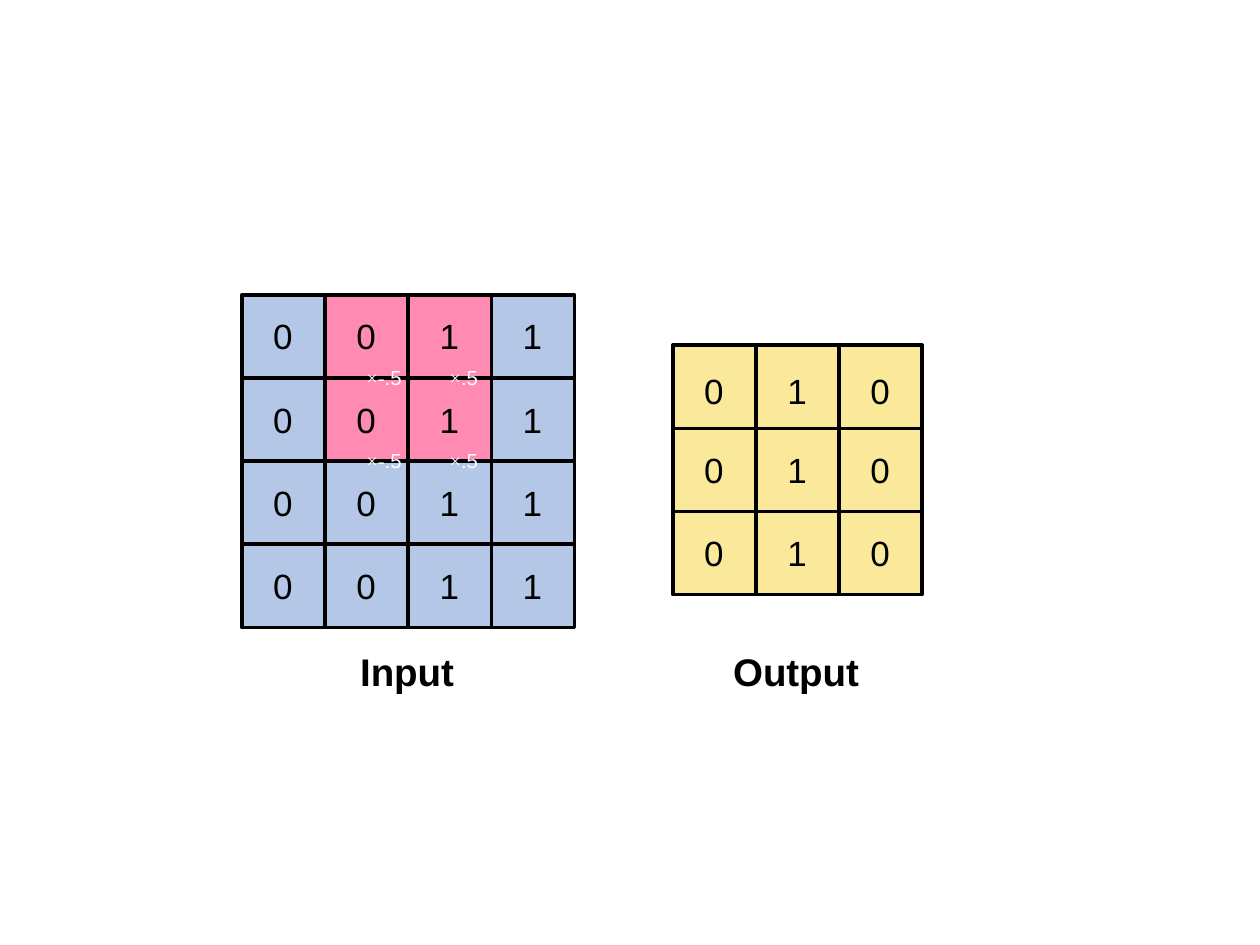
from pptx import Presentation
from pptx.dml.color import RGBColor as Rgb
from pptx.enum.shapes import MSO_SHAPE as Kind
from pptx.enum.text import MSO_AUTO_SIZE as Fit
from pptx.util import Inches, Pt


def tint(code):
    return Rgb.from_string(code)


class Board:
    cell = 0.66
    face = "Arial"
    ink = "000000"

    def __init__(self, slide):
        self.slide = slide

    def place(self, start, col, row):
        left, top = start
        return Inches(left + col * self.cell), Inches(top + row * self.cell)

    def square(self, start, col, row, fill):
        side = Inches(self.cell)
        box = self.slide.shapes.add_shape(
            Kind.RECTANGLE, *self.place(start, col, row), side, side)
        box.shadow.inherit = False
        box.fill.solid()
        box.fill.fore_color.rgb = tint(fill)
        box.line.color.rgb = tint(self.ink)
        box.line.width = Pt(2)

    def frame(self, left, top, width, height):
        box = self.slide.shapes.add_textbox(left, top, Inches(width), Inches(height))
        box.text_frame.word_wrap = False
        box.text_frame.auto_size = Fit.SHAPE_TO_FIT_TEXT
        return box.text_frame.paragraphs[0]

    def label(self, spot, size, text, points=20, bold=False):
        line = self.frame(*spot, *size)
        line.text = text
        line.font.name = self.face
        line.font.size = Pt(points)
        line.font.bold = bold
        line.font.color.rgb = tint(self.ink)

    def digit(self, start, col, row, text, drop=0.11):
        left, top = self.place(start, col, row)
        self.label((left + Inches(0.15), top + Inches(drop)), (0.36, 0.44), text)

    def weight(self, start, col, row, sign, width):
        line = self.frame(*self.place(start, col, row), width, 0.33)
        line.font.size = Pt(20)
        line.font.color.rgb = tint("FFFFFF")
        for text, face in ((sign, "Times New Roman"), (".5", self.face)):
            run = line.add_run()
            run.text = text
            run.font.name = face
            run.font.size = Pt(20)
            run.font.color.rgb = tint("FFFFFF")
            run._r.get_or_add_rPr().set("baseline", "-25000")


deck = Presentation()
deck.slide_width, deck.slide_height = Inches(10), Inches(7.5)
board = Board(deck.slides.add_slide(deck.slide_layouts[6]))

source, result = (1.92, 2.34), (5.34, 2.74)
kernel = [(col, row) for row in (0, 1) for col in (1, 2)]
inputs = ["0011"] * 4
outputs = ["010"] * 3

for row, line in enumerate(inputs):
    for col in range(len(line)):
        if (col, row) not in kernel:
            board.square(source, col, row, "B4C7E7")
for row, line in enumerate(outputs):
    for col in range(len(line)):
        board.square(result, col, row, "FBE99B")
for col, row in kernel:
    board.square(source, col, row, "FF8BB2")

for row, line in enumerate(inputs):
    for col, text in enumerate(line):
        board.digit(source, col, row, text)
for col, row in kernel:
    sign, width = ("×-", 0.53) if col == 1 else ("×", 0.46)
    board.weight((2.15, 2.66), col, row, sign, width)
for row, line in enumerate(outputs):
    for col, text in enumerate(line):
        board.digit(result, col, row, text, 0.11 if row else 0.14)

for text, left, width in (("Input", 2.76, 0.96), ("Output", 5.72, 1.22)):
    board.label((Inches(left), Inches(5.09)), (width, 0.47), text, 22, True)

deck.save("out.pptx")
